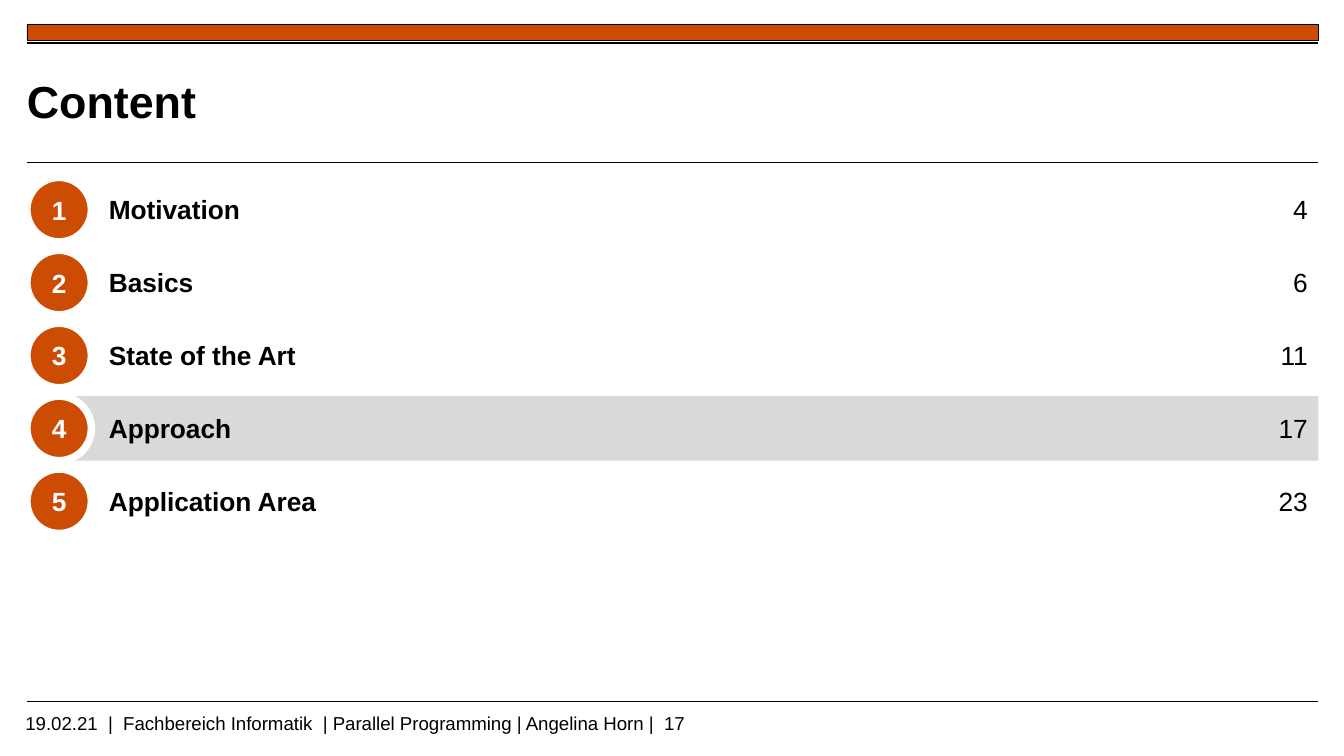
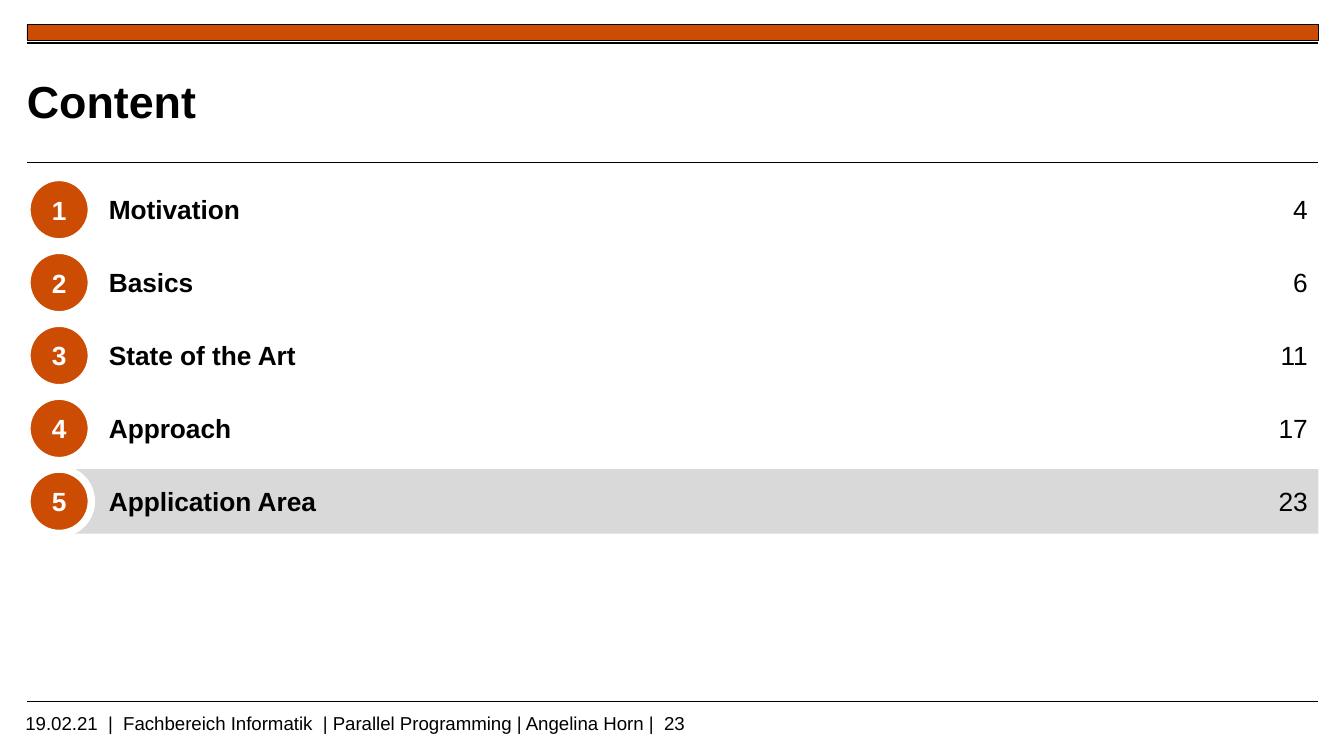
from pptx import Presentation, util as u
from pptx.dml.color import RGBColor
from pptx.enum import shapes, text
from pptx.oxml.ns import qn
from lxml import etree

COLORS = {"accent": "CC4C03", "ink": "000000", "paper": "FFFFFF", "highlight": "D9D9D9"}
FONT = "Arial"

# Grid: 16:9 page, edges, columns and rows, in inches
WIDTH = 10
HEIGHT = WIDTH * 9 / 16
LEFT, RIGHT = 0.2, 9.81
ROW_TOP, LAST_ROW_TOP, ROW_HEIGHT = 1.32, 3.49, 0.48
LABEL_LEFT, LABEL_WIDTH = 0.74, 6.41
PAGE_LEFT, PAGE_WIDTH = 9.48, 0.25

CHAPTERS = [("Motivation", 4), ("Basics", 6), ("State of the Art", 11),
            ("Approach", 17), ("Application Area", 23)]
PITCH = (LAST_ROW_TOP - ROW_TOP) / (len(CHAPTERS) - 1)
FOOTER = "19.02.21  |  Fachbereich Informatik  | Parallel Programming | Angelina Horn |  {}"

# Rules across the page: height on the slide and line width in points
RULES = [(0.32, 1.2), (1.21, 0.6), (5.22, 0.6)]

# Text styles: size, bold, colour, alignment, anchor, wrap, insets (left, top, right, bottom)
ALIGN, ANCHOR = text.PP_ALIGN, text.MSO_ANCHOR
STYLES = {
    "title": (24, True, "ink", ALIGN.LEFT, ANCHOR.MIDDLE, True, (0, 0, 0, 0)),
    "footer": (10, False, "ink", ALIGN.LEFT, ANCHOR.TOP, True, (0.1, 0.05, 0.1, 0.05)),
    "number": (14.1, True, "paper", ALIGN.CENTER, ANCHOR.MIDDLE, False, (0.07, 0.12, 0.07, 0.12)),
    "label": (14.1, True, "ink", ALIGN.LEFT, ANCHOR.TOP, False, (0.07, 0.12, 0, 0.12)),
    "page": (14.1, False, "ink", ALIGN.RIGHT, ANCHOR.TOP, False, (0, 0.12, 0, 0.12)),
}


def add_block(slide, preset, box, fill, outline=None, line_width=0):
    block = slide.shapes.add_shape(preset, *map(u.Inches, box))
    block.shadow.inherit = False
    block.fill.solid()
    block.fill.fore_color.rgb = RGBColor.from_string(COLORS[fill])
    if outline:
        block.line.color.rgb = RGBColor.from_string(COLORS[outline])
        block.line.width = u.Pt(line_width)
    else:
        block.line.fill.background()
    return block


def write(holder, words, style):
    size, bold, color, align, anchor, wrap, insets = STYLES[style]
    frame = holder.text_frame
    frame.text = words
    frame_format = {"word_wrap": wrap, "vertical_anchor": anchor}
    for side, inset in zip(("left", "top", "right", "bottom"), insets):
        frame_format["margin_" + side] = u.Inches(inset)
    for name, value in frame_format.items():
        setattr(frame, name, value)
    paragraph = frame.paragraphs[0]
    paragraph.alignment = align
    font = paragraph.runs[0].font
    for name, value in {"name": FONT, "size": u.Pt(size), "bold": bold}.items():
        setattr(font, name, value)
    font.color.rgb = RGBColor.from_string(COLORS[color])


deck = Presentation()
deck.slide_width, deck.slide_height = u.Inches(WIDTH), u.Inches(HEIGHT)

# One contents slide for each chapter that is opened
for current, current_page in CHAPTERS[3:]:
    slide = deck.slides.add_slide(deck.slide_layouts[6])

    # Band, rules, footer and title
    add_block(slide, shapes.MSO_SHAPE.RECTANGLE, (LEFT, 0.18, RIGHT - LEFT, 0.12),
              "accent", "ink", 0.25)
    for y, weight in RULES:
        rule = slide.shapes.add_connector(
            shapes.MSO_CONNECTOR.STRAIGHT, *map(u.Inches, (LEFT, y, RIGHT, y)))
        rule.line.color.rgb = RGBColor.from_string(COLORS["ink"])
        rule.line.width = u.Pt(weight)
        etree.SubElement(rule._element.spPr, qn("a:effectLst"))
    texts = [((0.09, 5.25, 7.95, 0.19), FOOTER.format(current_page), "footer"),
             ((LEFT, 0.4, 7.46, 0.69), "Content", "title")]

    # Chapter rows, with a bar behind the current one
    for row, (chapter, page) in enumerate(CHAPTERS):
        top = ROW_TOP + row * PITCH
        if chapter == current:
            bar_left = LEFT + ROW_HEIGHT / 2
            add_block(slide, shapes.MSO_SHAPE.RECTANGLE,
                      (bar_left, top, RIGHT - bar_left, ROW_HEIGHT), "highlight")
        circle = add_block(slide, shapes.MSO_SHAPE.OVAL,
                           (LEFT, top, ROW_HEIGHT, ROW_HEIGHT), "accent", "paper", 4)
        write(circle, str(row + 1), "number")
        texts += [((LABEL_LEFT, top, LABEL_WIDTH, ROW_HEIGHT), chapter, "label"),
                  ((PAGE_LEFT, top, PAGE_WIDTH, ROW_HEIGHT), str(page), "page")]

    # Text on top of the bars
    for box, words, style in texts:
        write(slide.shapes.add_textbox(*map(u.Inches, box)), words, style)

deck.save("out.pptx")
